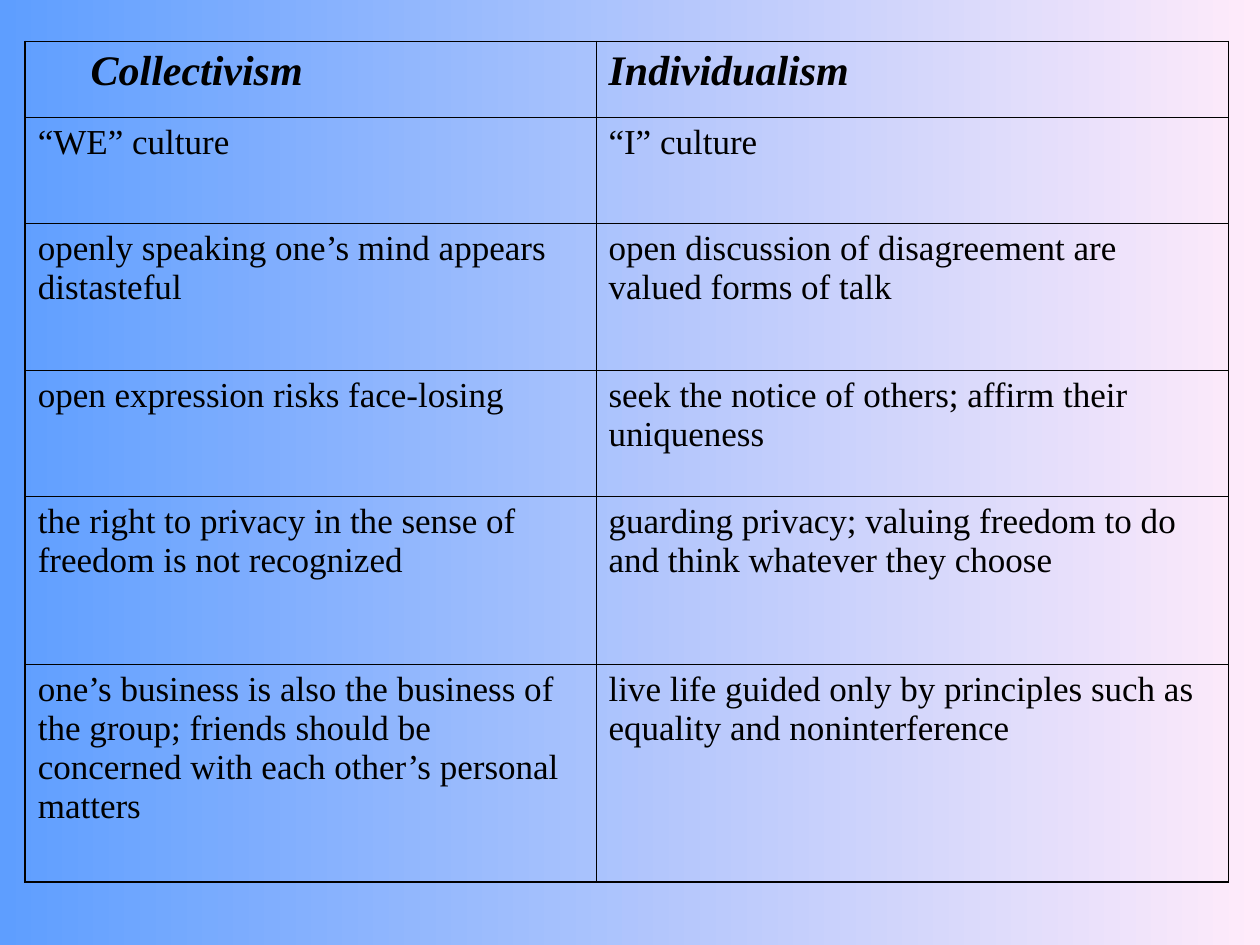
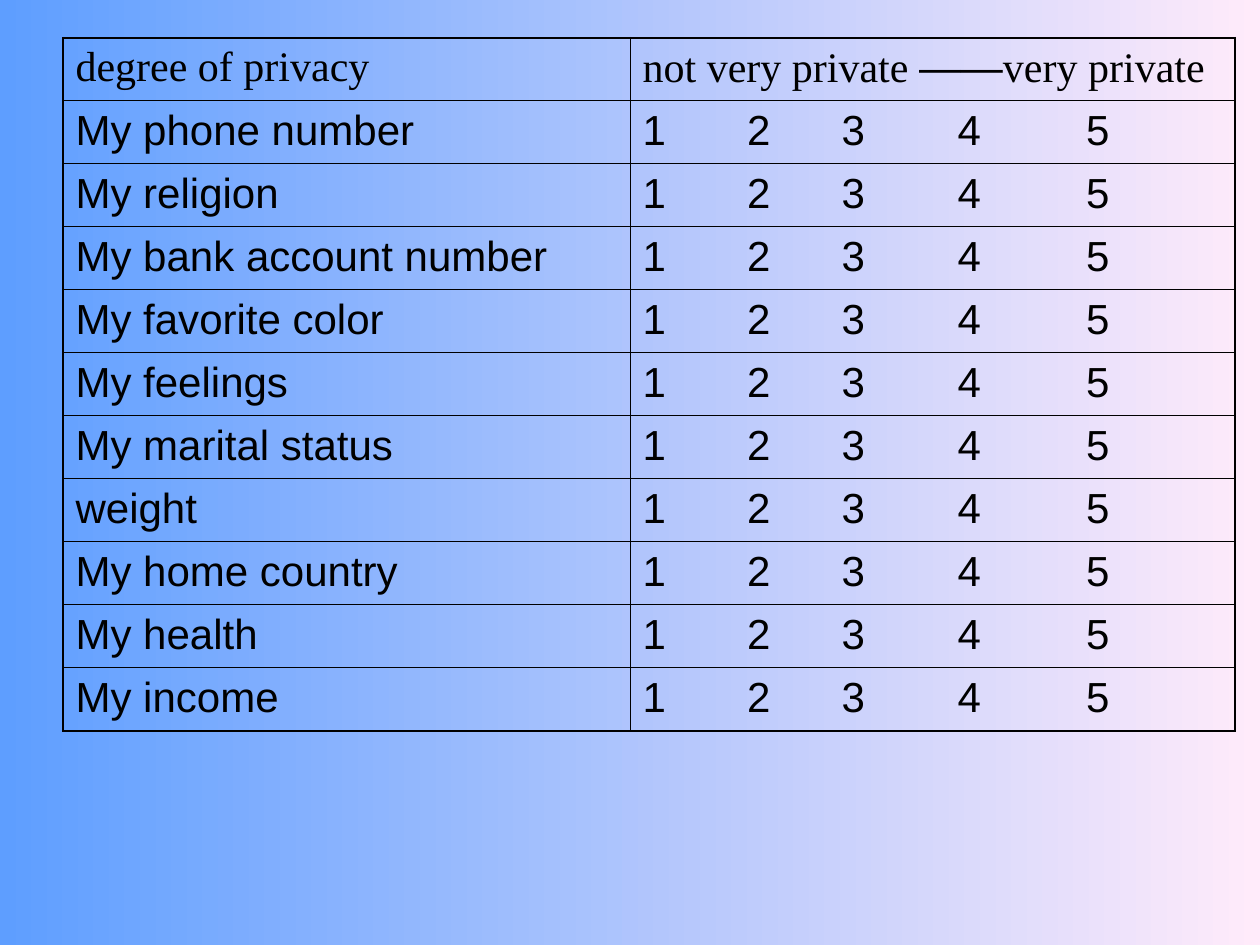
from lxml.etree import SubElement
from pptx import Presentation
from pptx.dml.color import RGBColor
from pptx.oxml.ns import qn
from pptx.util import Inches, Pt

# Shared look
GRID_COLS, GRID_ROWS = 100, 75
UNIT = 0.1  # inches per grid step
INK = "000000"
SKY, BLUSH = "5E9EFF", "FFEBFA"
SERIF, SANS = "Times New Roman", "Arial"
OUTER, INNER = 1.08, 0.45  # border widths in points
LARGE, MEDIUM = 24, 20

# Slide content
CULTURES = [
    ("Collectivism", "Individualism"),
    ("“WE” culture", "“I” culture"),
    ("openly speaking one’s mind appears distasteful",
     "open discussion of disagreement are valued forms of talk"),
    ("open expression risks face-losing",
     "seek the notice of others; affirm their uniqueness"),
    ("the right to privacy in the sense of freedom is not recognized",
     "guarding privacy; valuing freedom to do and think whatever they choose"),
    ("one’s business is also the business of the group; friends should be "
     "concerned with each other’s personal matters",
     "live life guided only by principles such as equality and noninterference"),
]
CULTURE_ROWS = [6, 8.4, 11.7, 10, 13.3, 17.3]
TOPICS = [
    "My phone number", "My religion", "My bank account number",
    "My favorite color", "My feelings", "My marital status", "weight",
    "My home country", "My health", "My income",
]
SCALE = "\t".join(str(n) for n in range(1, 6))
SCALE_TABS = [8.3, 15.8, 25, 35.2]


def rgb(color):
    return RGBColor.from_string(color)


def grid(steps):
    return Inches(steps * UNIT)


def set_background(master):
    fill = master.background.fill
    fill.gradient()
    fill.gradient_angle = 0
    for stop, color in zip(fill.gradient_stops, (SKY, BLUSH)):
        stop.color.rgb = rgb(color)


def set_borders(cell, outer_sides):
    tcPr = cell._tc.get_or_add_tcPr()
    for side in "LRTB":
        width = OUTER if side in outer_sides else INNER
        ln = SubElement(tcPr, qn(f"a:ln{side}"), w=str(Pt(width)))
        SubElement(SubElement(ln, qn("a:solidFill")), qn("a:srgbClr"), val=INK)


def add_table(slide, left, top, cols, rows):
    """Add a transparent table with a heavier outline; sizes in grid steps."""
    frame = slide.shapes.add_table(len(rows), len(cols), grid(left), grid(top),
                                   grid(sum(cols)), grid(sum(rows)))
    table = frame.table
    table.first_row = table.horz_banding = False
    for column, width in zip(table.columns, cols):
        column.width = grid(width)
    for row, height in zip(table.rows, rows):
        row.height = grid(height)
    last_row, last_col = len(rows) - 1, len(cols) - 1
    for i in range(len(rows)):
        for j in range(len(cols)):
            edges = {"L": j == 0, "R": j == last_col,
                     "T": i == 0, "B": i == last_row}
            cell = table.cell(i, j)
            set_borders(cell, [side for side, on in edges.items() if on])
            cell.fill.background()
    return table


def format_run(r, font, size, emphasis=False):
    r.font.name = font
    r.font.size = Pt(size)
    r.font.bold = r.font.italic = emphasis
    r.font.color.rgb = rgb(INK)


def write_cell(cell, text, font, size, emphasis=False):
    p = cell.text_frame.paragraphs[0]
    p.text = text
    for r in p.runs:
        format_run(r, font, size, emphasis)


def add_tabs(cell, stops):
    pPr = cell.text_frame.paragraphs[0]._p.get_or_add_pPr()
    tabs = SubElement(pPr, qn("a:tabLst"))
    for stop in stops:
        SubElement(tabs, qn("a:tab"), pos=str(grid(stop)), algn="l")


def add_culture_slide(prs):
    slide = prs.slides.add_slide(prs.slide_layouts[6])
    table = add_table(slide, 2, 3.3, [45.3, 50.2], CULTURE_ROWS)
    for i, row in enumerate(CULTURES):
        heading = i == 0
        for j, text in enumerate(row):
            write_cell(table.cell(i, j), text, SERIF,
                       LARGE if heading else MEDIUM, heading)
    table.cell(0, 0).margin_left = grid(5.2)


def add_privacy_slide(prs):
    slide = prs.slides.add_slide(prs.slide_layouts[6])
    table = add_table(slide, 5, 3, [45, 48], [5] * (len(TOPICS) + 1))

    # Heading row
    write_cell(table.cell(0, 0), "degree of privacy", SERIF, LARGE)
    p = table.cell(0, 1).text_frame.paragraphs[0]
    for text, font in (("not very private ", SERIF), ("——", SANS),
                       ("very private", SERIF)):
        r = p.add_run()
        r.text = text
        format_run(r, font, LARGE)

    # Topics with their rating scale
    for i, topic in enumerate(TOPICS, start=1):
        write_cell(table.cell(i, 0), topic, SANS, LARGE)
        add_tabs(table.cell(i, 1), SCALE_TABS)
        write_cell(table.cell(i, 1), SCALE, SANS, LARGE)


def main():
    prs = Presentation()
    prs.slide_width, prs.slide_height = grid(GRID_COLS), grid(GRID_ROWS)
    set_background(prs.slide_master)
    add_culture_slide(prs)
    add_privacy_slide(prs)
    prs.save("out.pptx")


if __name__ == "__main__":
    main()
